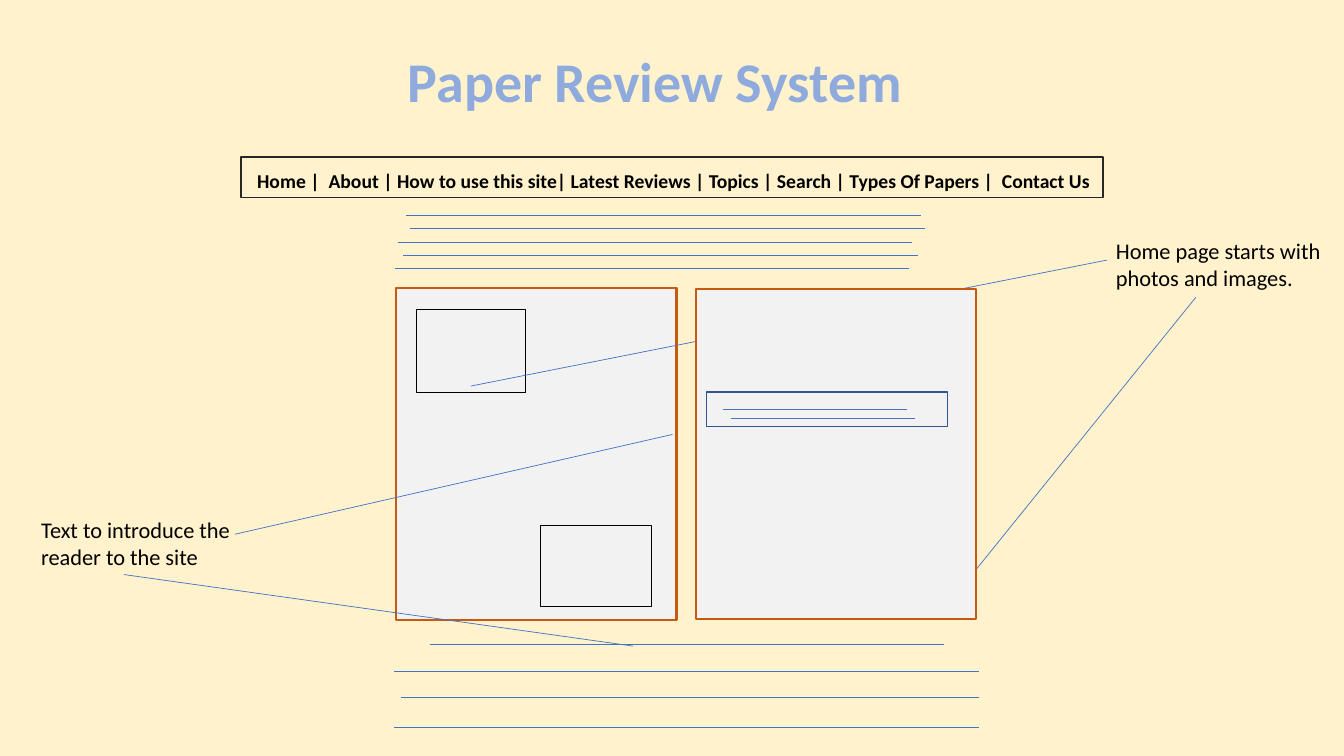
"""Build the wireframe slide of the Paper Review System home page."""
import pptx
import pptx.util
import pptx.dml.color
import pptx.enum.shapes
import pptx.enum.text
import pptx.oxml
import pptx.oxml.ns

COLUMNS, ROWS = 13.33, 7.5
CELL = pptx.util.Inches(1)

THEME = {
    "font": "Calibri",
    "page": "FFF2CC",
    "panel": "F2F2F2",
    "panel_line": "C55A11",
    "ink": "000000",
    "navigation_line": "262626",
    "caption_line": "325491",
    "rule": "4472C4",
    "title": "8FAADC",
    "title_size": 40,
    "navigation_size": 14,
    "note_size": 16,
    "rule_width": 0.5,
    "outline_width": 0.8,
}

TITLE = ("Paper Review System", (2.91, 0.41, 7.17, 0.77))
NAVIGATION = (
    "Home |  About | How to use this site| Latest Reviews | Topics | Search"
    " | Types Of Papers |  Contact Us",
    (2.39, 1.56, 8.55, 0.4),
)
NOTES = [
    ("Text to introduce the reader to the site", (0.31, 5.07, 2.2, 0.64)),
    ("Home page starts with photos and images.", (10.97, 2.3, 2.25, 0.64)),
]
LEFT_PANEL = (3.93, 2.86, 2.78, 3.29)
RIGHT_PANEL = (6.9, 2.87, 2.78, 3.27)
PHOTOS = [(4.13, 3.07, 1.08, 0.82), (5.36, 5.21, 1.1, 0.81)]
CAPTION = (7.01, 3.89, 2.39, 0.34)

INTRO_TOP, INTRO_GAP, INTRO_LENGTH = 2.14, 0.13, 5.1
INTRO_STARTS = [4.03, 4.07, 3.95, 4, 3.92]
FOOTER_RULES = [(4.26, 9.36, 6.39), (3.91, 9.71, 6.66),
                (3.98, 9.71, 6.92), (3.91, 9.71, 7.22)]
CAPTION_RULES = [(7.17, 9, 4.06), (7.25, 9.08, 4.15)]
CALLOUTS = [
    (4.67, 3.83, 10.98, 2.58),
    (9.31, 6.11, 11.86, 2.95),
    (6.67, 4.31, 2.33, 5.3),
    (6.28, 6.41, 1.23, 5.7),
]


def cells(values):
    return [round(value * CELL) for value in values]


def color(name):
    return pptx.dml.color.RGBColor.from_string(THEME[name])


def apply(target, **values):
    for name, value in values.items():
        setattr(target, name, value)


def add_box(slide, place, line, width, fill=None):
    shape = slide.shapes.add_shape(
        pptx.enum.shapes.MSO_SHAPE.RECTANGLE, *cells(place))
    shape.shadow.inherit = False
    if fill:
        shape.fill.solid()
        shape.fill.fore_color.rgb = color(fill)
    else:
        shape.fill.background()
    shape.line.color.rgb = color(line)
    shape.line.width = pptx.util.Pt(width)
    return shape


def add_line(slide, ends):
    connector = slide.shapes.add_connector(
        pptx.enum.shapes.MSO_CONNECTOR.STRAIGHT, *cells(ends))
    connector.line.color.rgb = color("rule")
    connector.line.width = pptx.util.Pt(THEME["rule_width"])
    properties = connector._element.spPr
    properties.append(pptx.oxml.parse_xml(
        f"<a:effectLst {pptx.oxml.ns.nsdecls('a')}/>"))


def write(shape, text, size, ink, bold=False, align="LEFT", anchor="MIDDLE",
          **margins):
    frame = shape.text_frame
    apply(frame, word_wrap=True,
          auto_size=pptx.enum.text.MSO_AUTO_SIZE.NONE,
          vertical_anchor=getattr(pptx.enum.text.MSO_ANCHOR, anchor),
          **{name: pptx.util.Inches(value) for name, value in margins.items()})
    paragraph = frame.paragraphs[0]
    paragraph.alignment = getattr(pptx.enum.text.PP_ALIGN, align)
    run = paragraph.add_run()
    run.text = text
    apply(run.font, name=THEME["font"], bold=bold,
          size=pptx.util.Pt(THEME[size]))
    run.font.color.rgb = color(ink)
    return run


def add_title(slide):
    text, place = TITLE
    title = slide.shapes.title
    apply(title, **dict(zip(("left", "top", "width", "height"), cells(place))))
    title.fill.solid()
    title.fill.fore_color.rgb = color("page")
    run = write(title, text, "title_size", "title", bold=True, align="CENTER")
    width = pptx.util.Pt(THEME["outline_width"])
    run.font._element.insert(0, pptx.oxml.parse_xml(
        f"<a:ln {pptx.oxml.ns.nsdecls('a')} w='{width}'><a:solidFill>"
        f"<a:srgbClr val='{THEME['rule']}'/></a:solidFill></a:ln>"))


def main():
    presentation = pptx.Presentation()
    presentation.slide_width, presentation.slide_height = cells((COLUMNS, ROWS))
    slide = presentation.slides.add_slide(presentation.slide_layouts[5])
    slide.background.fill.solid()
    slide.background.fill.fore_color.rgb = color("page")

    add_title(slide)
    add_box(slide, LEFT_PANEL, "panel_line", 1.5, "panel")
    for place in PHOTOS:
        add_box(slide, place, "ink", 0.75)

    intro_rules = [(start, start + INTRO_LENGTH, INTRO_TOP + INTRO_GAP * row)
                   for row, start in enumerate(INTRO_STARTS)]
    for start, end, top in intro_rules + FOOTER_RULES:
        add_line(slide, (start, top, end, top))
    for ends in CALLOUTS:
        add_line(slide, ends)
    for text, place in NOTES:
        note = slide.shapes.add_textbox(*cells(place))
        write(note, text, "note_size", "ink", anchor="TOP")

    add_box(slide, RIGHT_PANEL, "panel_line", 1.5, "panel")
    for start, end, top in CAPTION_RULES:
        add_line(slide, (start, top, end, top))
    add_box(slide, CAPTION, "caption_line", 1)

    text, place = NAVIGATION
    navigation = add_box(slide, place, "navigation_line", 1, "page")
    write(navigation, text, "navigation_size", "ink", bold=True,
          margin_left=0.16, margin_right=0.02, margin_top=0.08,
          margin_bottom=0.02)
    presentation.save("out.pptx")


if __name__ == "__main__":
    main()
